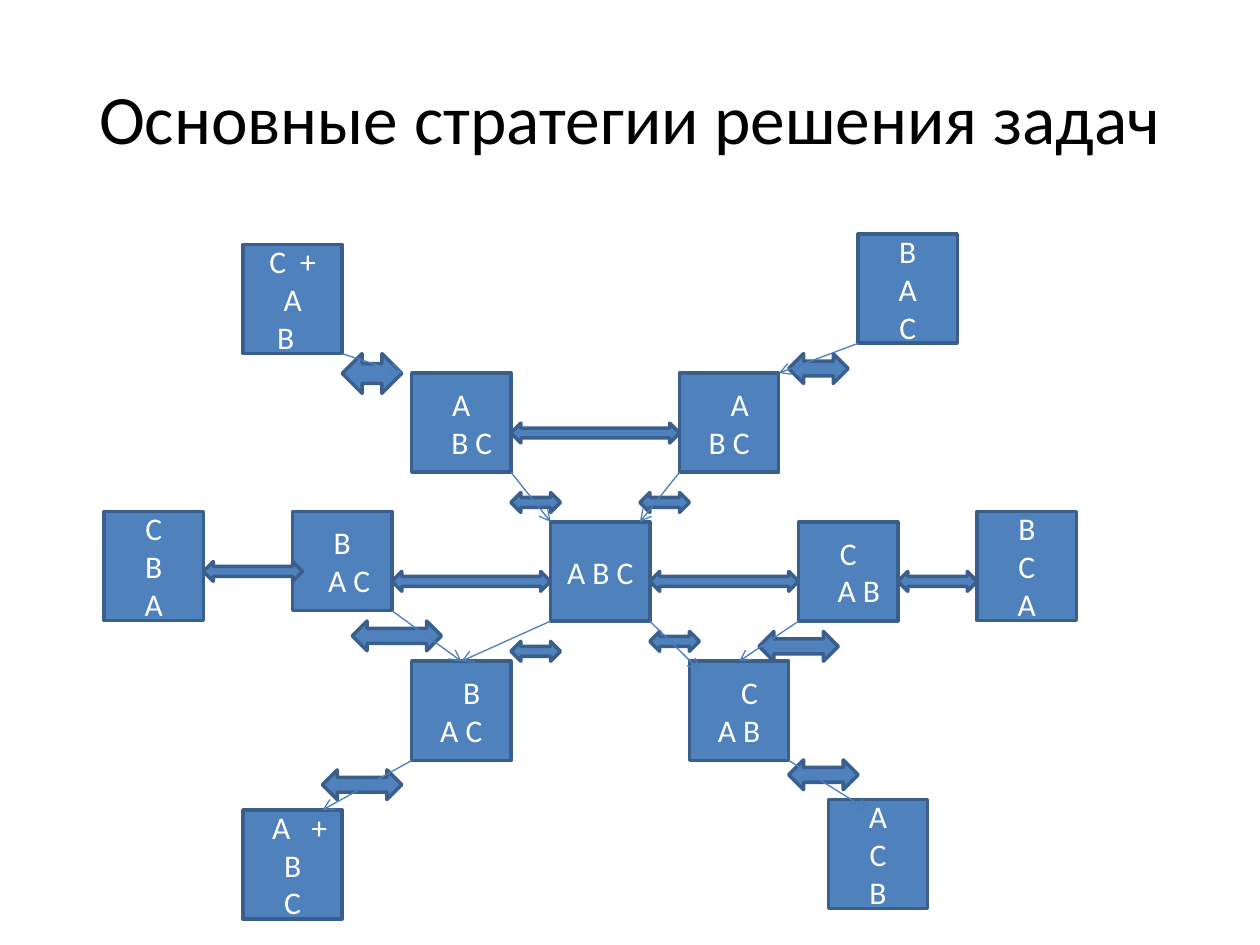
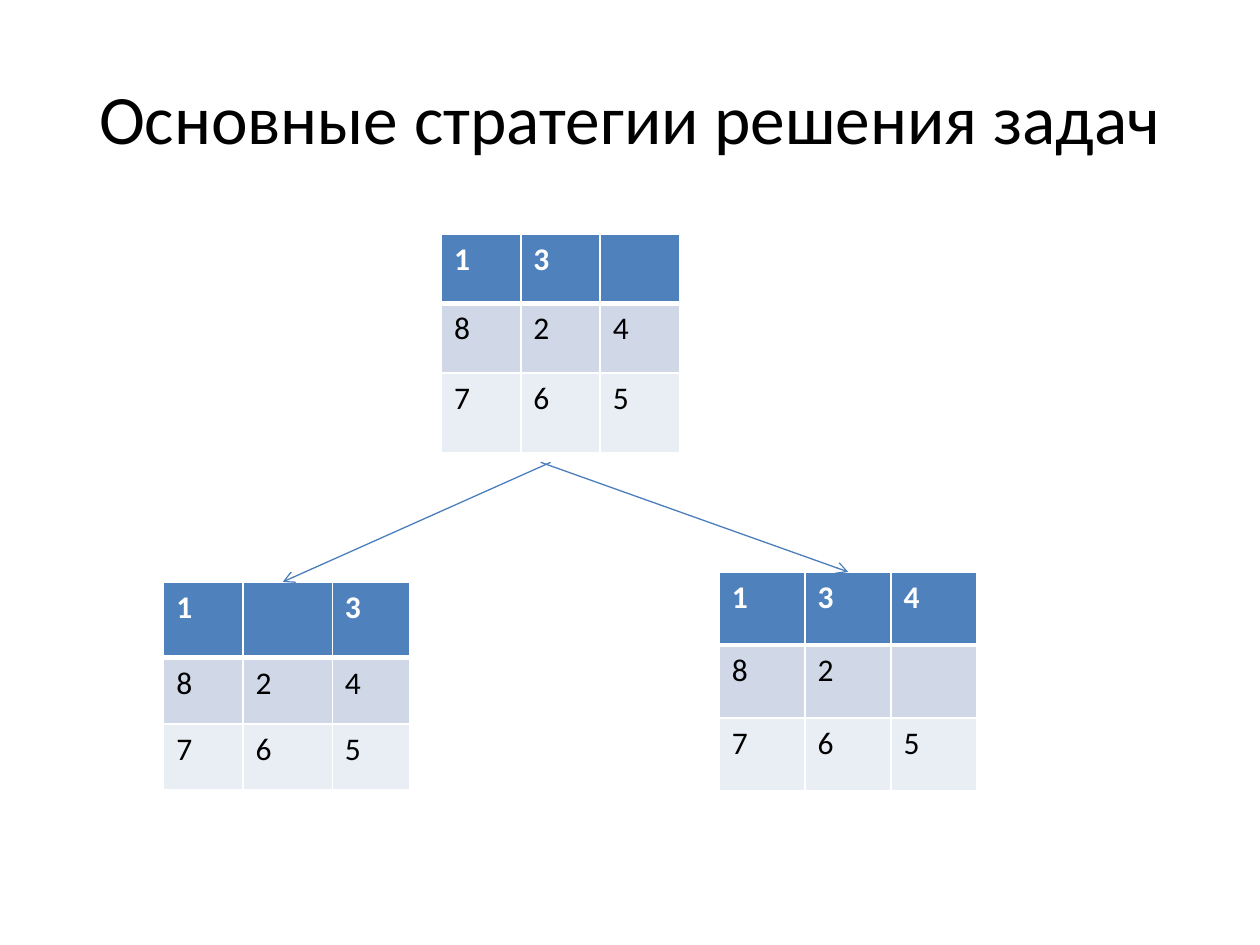
"""Build two slides on problem-solving strategies: a block state graph and a tile puzzle."""
from dataclasses import dataclass

from lxml import etree
from pptx import Presentation
from pptx import util as u
from pptx.dml.color import RGBColor
from pptx.enum import shapes, text
from pptx.oxml import ns


@dataclass(frozen=True)
class Theme:
    font: str = "Calibri"
    title_size: float = 39.6
    body_size: float = 18
    outline_width: float = 2
    arrow_width: float = 0.75
    black: RGBColor = RGBColor.from_string("000000")
    white: RGBColor = RGBColor.from_string("FFFFFF")
    accent: RGBColor = RGBColor.from_string("4F81BD")
    outline: RGBColor = RGBColor.from_string("3A5F8C")
    arrow: RGBColor = RGBColor.from_string("4B7EBC")
    bands: tuple = (RGBColor.from_string("D0D8E8"), RGBColor.from_string("E9EDF4"))


@dataclass(frozen=True)
class Line:
    content: str
    left: float = 0
    right: float = 0
    tracking: float = 0


THEME = Theme()
TITLE = "Основные стратегии решения задач"
SQUARE, TALL = 2, 2.2
NUDGE = 12

STATES = {
    "centre": (11.1, 10.52, SQUARE, ["А В С"]),
    "bottom left": (4.9, 16.33, TALL, [Line("А +", left=8, tracking=4), "В", "С"]),
    "top left": (4.9, 4.93, TALL, [Line("С +", tracking=2), "А", Line("В", right=8)]),
    "upper right": (13.7, 7.52, SQUARE, [Line("А", left=NUDGE), "В С"]),
    "upper left": (8.3, 7.52, SQUARE, ["А", Line("В С", left=NUDGE)]),
    "far left": (2.1, 10.31, TALL, ["С", "В", "А"]),
    "left": (5.9, 10.31, SQUARE, ["В", Line("А С", left=8)]),
    "lower right": (13.9, 13.33, SQUARE, [Line("С", left=NUDGE), "А В"]),
    "lower left": (8.3, 13.33, SQUARE, [Line("В", left=NUDGE), "А С"]),
    "bottom right": (16.7, 16.12, TALL, ["А", "С", "В"]),
    "top right": (17.3, 4.72, TALL, ["В", "А", "С"]),
    "far right": (19.7, 10.31, TALL, ["В", "С", "А"]),
    "right": (16.1, 10.52, SQUARE, ["С", Line("А В", left=NUDGE)]),
}

EXCHANGES = [
    (6.9, 7.13, 1.2, 0.8), (10.3, 8.53, 3.4, 0.4), (15.9, 7.13, 1.2, 0.6),
    (4.1, 11.32, 2, 0.4), (7.9, 11.52, 3.2, 0.4), (6.5, 15.52, 1.6, 0.6),
    (13.1, 11.52, 3, 0.4), (18.1, 11.52, 1.6, 0.4), (15.9, 15.32, 1.4, 0.6),
    (10.3, 9.93, 1, 0.4), (12.9, 9.93, 1, 0.4), (10.3, 12.93, 1, 0.4),
    (13.1, 12.73, 1, 0.4), (7.1, 12.52, 1.8, 0.6), (15.3, 12.73, 1.6, 0.6),
]

# Each move leaves a lower corner and ends at a point or at the top of a state.
MOVES = [
    ("top left", "right", (8.1, 7.52)),
    ("upper left", "right", (11.1, 10.52)),
    ("upper right", "left", (12.9, 10.52)),
    ("top right", "left", (15.7, 7.52)),
    ("left", "right", "lower left"),
    ("centre", "left", "lower left"),
    ("lower left", "left", (6.5, 16.33)),
    ("centre", "right", (14.1, 13.51)),
    ("right", "left", "lower right"),
    ("lower right", "right", (17.5, 16.33)),
]

PUZZLES = [
    ((8.9, 4.72), (1.6, 1.6, 1.6), (1.4, 1.4, 1.6), ("13 ", "824", "765")),
    ((3.3, 11.73), (1.6, 1.8, 1.55), (1.53, 1.33, 1.33), ("1 3", "824", "765")),
    ((14.5, 11.53), (1.73,) * 3, (1.47,) * 3, ("134", "82 ", "765")),
]
PUZZLE_MOVES = [((11.1, 9.32), (5.7, 11.73)), ((10.9, 9.32), (17.1, 11.53))]


def lengths(*values):
    """Turn centimetres into slide lengths."""
    return [u.Cm(value) for value in values]


def style_font(font, size, color, bold=False):
    """Apply the theme typeface with a size and colour."""
    font.name, font.size, font.bold = THEME.font, u.Pt(size), bold
    font.color.rgb = color


def add_titled_page(deck):
    """Add a blank page carrying the shared title."""
    page = deck.slides.add_slide(deck.slide_layouts[6])
    frame = page.shapes.add_textbox(*lengths(1.27, 0.76, 22.86, 3.18)).text_frame
    frame.word_wrap = True
    frame.vertical_anchor = text.MSO_ANCHOR.MIDDLE
    para = frame.paragraphs[0]
    para.text, para.alignment = TITLE, text.PP_ALIGN.CENTER
    style_font(para.font, THEME.title_size, THEME.black)
    return page


def add_block(page, kind, left, top, width, height):
    """Add a filled and outlined preset shape."""
    block = page.shapes.add_shape(kind, *lengths(left, top, width, height))
    block.shadow.inherit = False
    block.fill.solid()
    block.fill.fore_color.rgb = THEME.accent
    block.line.color.rgb = THEME.outline
    block.line.width = u.Pt(THEME.outline_width)
    return block


def add_state(page, left, top, height, lines):
    """Add a state box with one centred paragraph for each row of blocks."""
    box = add_block(page, shapes.MSO_SHAPE.RECTANGLE, left, top, SQUARE, height)
    frame = box.text_frame
    frame.margin_left = frame.margin_right = 0
    frame.vertical_anchor = text.MSO_ANCHOR.MIDDLE
    for index, entry in enumerate(lines):
        line = entry if isinstance(entry, Line) else Line(entry)
        para = frame.paragraphs[0] if index == 0 else frame.add_paragraph()
        para.alignment = text.PP_ALIGN.CENTER
        style_font(para.font, THEME.body_size, THEME.white)
        span = para.add_run()
        span.text = line.content
        properties = para._p.get_or_add_pPr()
        properties.set("marL", str(u.Pt(line.left)))
        properties.set("marR", str(u.Pt(line.right)))
        if line.tracking:
            span._r.get_or_add_rPr().set("spc", str(line.tracking * 100))
    return box


def add_arrow(page, start, end):
    """Add a thin straight arrow between two points."""
    arrow = page.shapes.add_connector(shapes.MSO_CONNECTOR.STRAIGHT, *start, *end)
    arrow.line.color.rgb = THEME.arrow
    arrow.line.width = u.Pt(THEME.arrow_width)
    etree.SubElement(arrow.line._get_or_add_ln(), ns.qn("a:tailEnd"), type="arrow")
    etree.SubElement(arrow._element.spPr, ns.qn("a:effectLst"))
    return arrow


def add_move(page, box, side, target):
    """Draw a move from a lower corner of a box to a point or another box."""
    start = (box.left + (box.width if side == "right" else 0), box.top + box.height)
    if isinstance(target, tuple):
        add_arrow(page, start, lengths(*target))
    else:
        add_arrow(page, start, (target.left, target.top)).end_connect(target, 0)


def set_borders(cell, row):
    """Draw white cell borders, thicker beneath the header row."""
    widths = {"L": 1, "R": 1, "T": 3 if row == 1 else 1, "B": 3 if row == 0 else 1}
    for side, width in widths.items():
        border = etree.SubElement(
            cell._tc.get_or_add_tcPr(), ns.qn(f"a:ln{side}"), w=str(u.Pt(width)))
        fill = etree.SubElement(border, ns.qn("a:solidFill"))
        etree.SubElement(fill, ns.qn("a:srgbClr"), val=str(THEME.white))


def add_puzzle(page, corner, widths, heights, rows):
    """Add a tile puzzle as a table whose gap is an empty cell."""
    frame = page.shapes.add_table(
        len(rows), len(widths), *lengths(*corner, sum(widths), sum(heights)))
    table = frame.table
    for column, width in zip(table.columns, widths):
        column.width = u.Cm(width)
    for row, (tiles, height) in enumerate(zip(rows, heights)):
        table.rows[row].height = u.Cm(height)
        header = row == 0
        for column, tile in enumerate(tiles):
            cell = table.cell(row, column)
            set_borders(cell, row)
            cell.fill.solid()
            cell.fill.fore_color.rgb = THEME.accent if header else THEME.bands[row - 1]
            cell.text = tile.strip()
            style_font(cell.text_frame.paragraphs[0].font, THEME.body_size,
                       THEME.white if header else THEME.black, header)


def main():
    """Build and save the deck."""
    deck = Presentation()
    deck.slide_width, deck.slide_height = lengths(25.4, 19.05)

    page = add_titled_page(deck)
    boxes = {name: add_state(page, *state) for name, state in STATES.items()}
    for place in EXCHANGES:
        add_block(page, shapes.MSO_SHAPE.LEFT_RIGHT_ARROW, *place)
    for source, side, target in MOVES:
        add_move(page, boxes[source], side, boxes.get(target, target))

    page = add_titled_page(deck)
    for puzzle in PUZZLES:
        add_puzzle(page, *puzzle)
    for start, end in PUZZLE_MOVES:
        add_arrow(page, lengths(*start), lengths(*end))

    deck.save("out.pptx")


if __name__ == "__main__":
    main()
